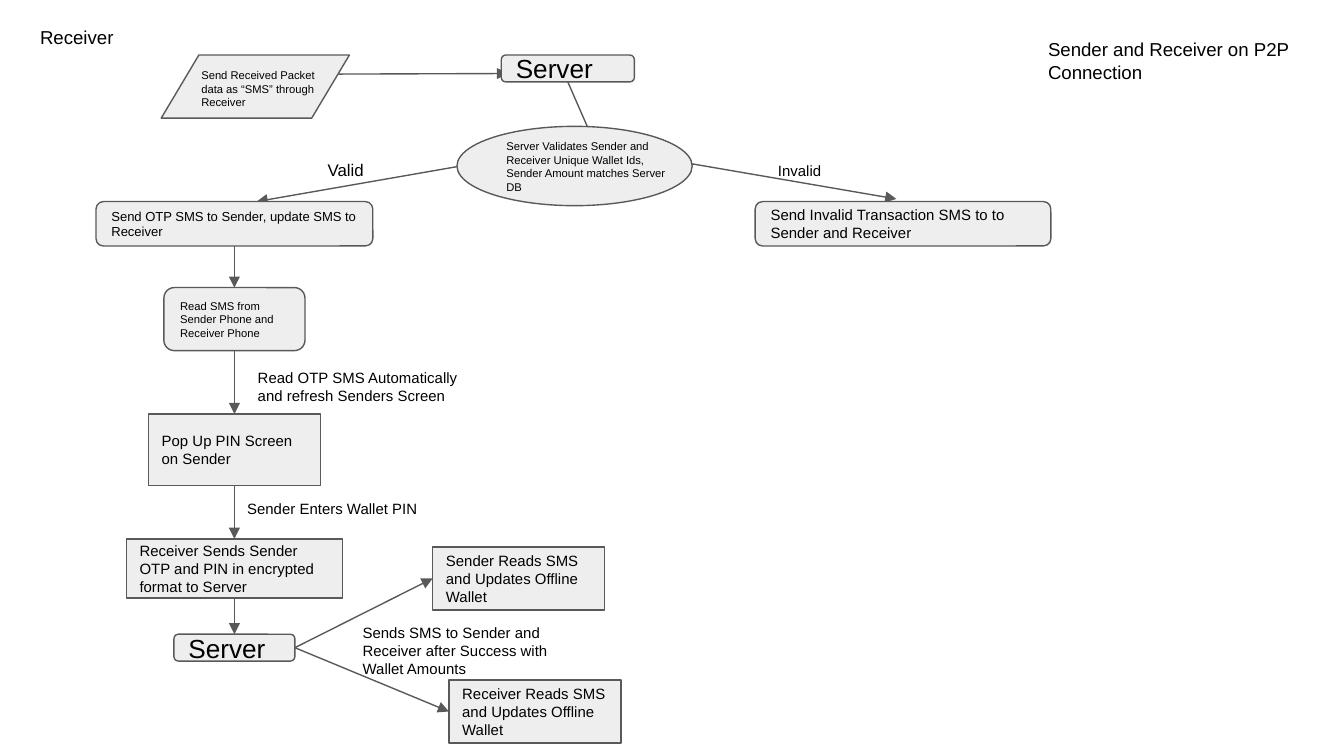
from lxml.etree import SubElement
from pptx import Presentation
from pptx.dml.color import RGBColor
from pptx.enum.shapes import MSO_CONNECTOR, MSO_SHAPE
from pptx.enum.text import MSO_ANCHOR, PP_ALIGN
from pptx.oxml.ns import qn
from pptx.util import Pt

BLACK = RGBColor(0x00, 0x00, 0x00)
GRAY = RGBColor(0x59, 0x59, 0x59)
PALE = RGBColor(0xEE, 0xEE, 0xEE)
FONT = "Arial"
INSET = 7.2
SPINE = 125.6  # centre line of the left column
TOP, LEFT, BOTTOM, RIGHT = range(4)

ROUND = MSO_SHAPE.ROUNDED_RECTANGLE
RECT = MSO_SHAPE.RECTANGLE
STEP = MSO_SHAPE.FLOWCHART_PROCESS
DATA = MSO_SHAPE.FLOWCHART_DATA

# name: preset, centre x, top, width, height, text size, text
BOXES = {
    "packet": (DATA, 136.8, 29.5, 100.8, 33.8, 6, ""),
    "server": (ROUND, 304.2, 29.5, 71.3, 14.4, 14, "Server"),
    "check": (MSO_SHAPE.OVAL, 307.8, 67.7, 126, 42.5, 6, ""),
    "otp": (ROUND, SPINE, 108, 148.3, 23.8, 7,
            "Send OTP SMS to Sender, update SMS to Receiver"),
    "invalid": (ROUND, 483.8, 108, 158.4, 23.8, 8,
                "Send Invalid Transaction SMS to to Sender and Receiver"),
    "read": (ROUND, SPINE, 154.1, 75.6, 33.8, 6,
             "Read SMS from Sender Phone and Receiver Phone"),
    "popup": (STEP, SPINE, 221.8, 92.2, 38.2, 8,
              "Pop Up PIN Screen on Sender"),
    "encrypt": (RECT, SPINE, 288.7, 115.9, 31.7, 8,
                "Receiver Sends Sender OTP and PIN in encrypted format to Server"),
    "final": (ROUND, SPINE, 339.8, 64.8, 14.4, 14, "Server"),
    "sender": (RECT, 277.9, 293, 92.2, 33.8, 8,
               "Sender Reads SMS and Updates Offline Wallet"),
    "receiver": (RECT, 286.6, 364.3, 92.2, 33.8, 8,
                 "Receiver Reads SMS and Updates Offline Wallet"),
}

# left, top, width, height, text size, text
LABELS = [
    (14.4, 7.9, 79.2, 13.7, 10, "Receiver"),
    (554.4, 13.2, 148.3, 53.3, 10, "Sender and Receiver on P2P Connection"),
    (100.8, 29.5, 79.2, 19.4, 6,
     "Send Received Packet data as “SMS” through Receiver"),
    (264.2, 67.7, 100.8, 23.8, 6,
     "Server Validates Sender and Receiver Unique Wallet Ids, "
     "Sender Amount matches Server DB"),
    (168.5, 81.4, 50.4, 9.4, 9, "Valid"),
    (409.7, 83.5, 64.8, 7.9, 8, "Invalid"),
    (131, 190.1, 126, 23.8, 8,
     "Read OTP SMS Automatically and refresh Senders Screen"),
    (125.3, 262.8, 126, 23.8, 8, "Sender Enters Wallet PIN"),
    (187.2, 326.9, 129.6, 33.8, 8,
     "Sends SMS to Sender and Receiver after Success with Wallet Amounts"),
]

# start x, start y, end x, end y, arrow
LINES = [
    (181.3, 39.7, 272.2, 39.4, True),
    (304.2, 43.9, 314.6, 67.7, False),
    (244.8, 89.3, 137.5, 108, True),
    (370.8, 87.8, 480.2, 106.6, True),
]

# from box, side, to box, side
CHAIN = ["otp", "read", "popup", "encrypt", "final"]
LINKS = [(a, BOTTOM, b, TOP) for a, b in zip(CHAIN, CHAIN[1:])]
LINKS += [("final", RIGHT, name, LEFT) for name in ("sender", "receiver")]


def write(shape, size, text, anchor):
    frame = shape.text_frame
    frame.word_wrap = True
    frame.vertical_anchor = anchor
    frame.margin_left = frame.margin_right = Pt(INSET)
    frame.margin_top = frame.margin_bottom = Pt(INSET)
    frame.text = text
    para = frame.paragraphs[0]
    para.alignment = PP_ALIGN.LEFT
    para.font.name = FONT
    para.font.size = Pt(size)
    para.font.color.rgb = BLACK


def add_box(slide, kind, mid, top, wide, high, size, text):
    box = slide.shapes.add_shape(
        kind, Pt(mid - wide / 2), Pt(top), Pt(wide), Pt(high))
    box.shadow.inherit = False
    box.fill.solid()
    box.fill.fore_color.rgb = PALE
    box.line.color.rgb = GRAY
    box.line.width = Pt(0.75)
    if text:
        write(box, size, text, MSO_ANCHOR.MIDDLE)
    return box


def add_line(slide, x1=0, y1=0, x2=0, y2=0, arrow=True):
    line = slide.shapes.add_connector(
        MSO_CONNECTOR.STRAIGHT, Pt(x1), Pt(y1), Pt(x2), Pt(y2))
    line.line.color.rgb = GRAY
    line.line.width = Pt(0.75)
    if arrow:
        SubElement(line.line._get_or_add_ln(), qn("a:tailEnd"), type="triangle")
    SubElement(line._element.spPr, qn("a:effectLst"))
    return line


def main():
    deck = Presentation()
    deck.slide_width, deck.slide_height = Pt(720), Pt(405)
    slide = deck.slides.add_slide(deck.slide_layouts[6])

    loose = [add_line(slide, *ends) for ends in LINES]
    boxes = {name: add_box(slide, *data) for name, data in BOXES.items()}
    loose[1].begin_connect(boxes["server"], BOTTOM)
    for start, out, end, into in LINKS:
        link = add_line(slide)
        link.begin_connect(boxes[start], out)
        link.end_connect(boxes[end], into)
    for left, top, wide, high, size, text in LABELS:
        label = slide.shapes.add_textbox(Pt(left), Pt(top), Pt(wide), Pt(high))
        write(label, size, text, MSO_ANCHOR.TOP)

    deck.save("out.pptx")


if __name__ == "__main__":
    main()
